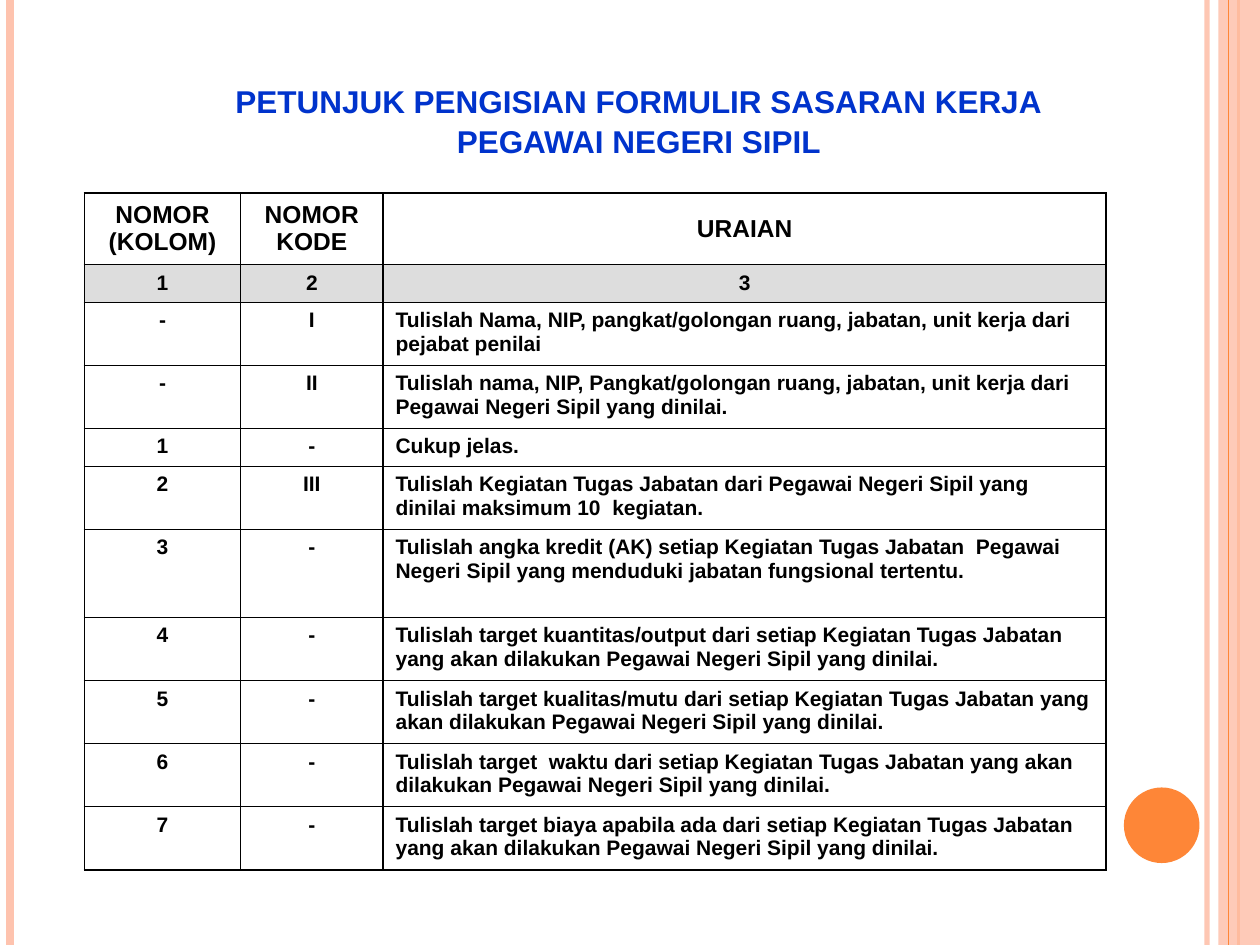
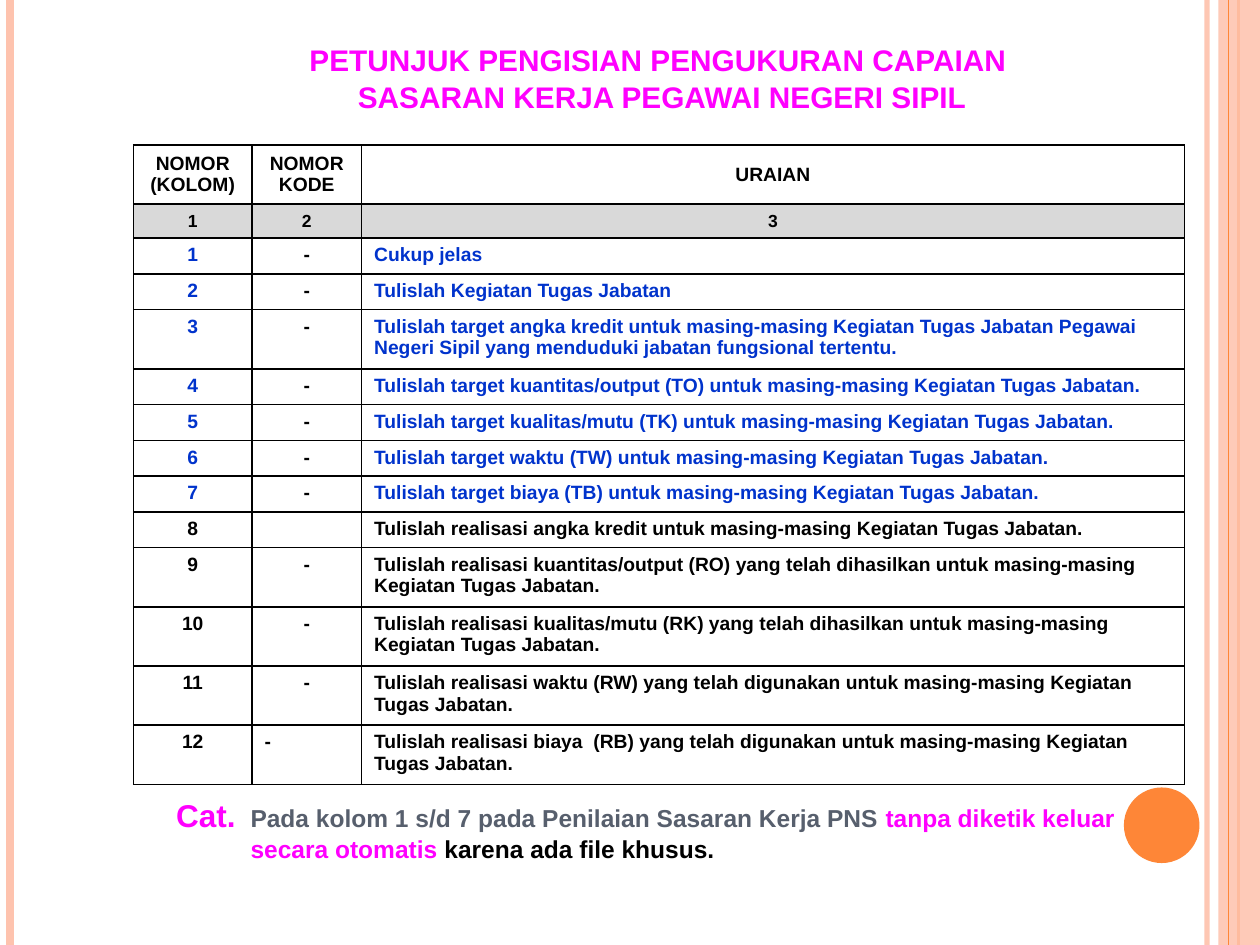
from lxml import etree
from pptx import Presentation
from pptx.dml.color import RGBColor
from pptx.enum import shapes, text
from pptx.oxml.ns import qn
from pptx.util import Inches, Pt

FONT = "Arial"
BLACK = RGBColor(0x00, 0x00, 0x00)
BLUE = RGBColor(0x00, 0x33, 0xCC)
MAGENTA = RGBColor(0xFF, 0x00, 0xFF)
SLATE = RGBColor(0x57, 0x5F, 0x6D)
ORANGE = RGBColor(0xFE, 0x86, 0x37)
PEACH = RGBColor(0xFE, 0xC3, 0xAE)
GREY_DD = RGBColor(0xDD, 0xDD, 0xDD)
GREY_D9 = RGBColor(0xD9, 0xD9, 0xD9)
CENTER, LEFT = text.PP_ALIGN.CENTER, text.PP_ALIGN.LEFT

# Content: number, code, description and number of text lines in each row
HEADER = [("NOMOR (KOLOM)", "NOMOR KODE", "URAIAN"), ("1", "2", "3")]
FORM_ROWS = [
    ("-", "I", "Tulislah Nama, NIP, pangkat/golongan ruang, jabatan, unit kerja dari pejabat penilai", 2),
    ("-", "II", "Tulislah nama, NIP, Pangkat/golongan ruang, jabatan, unit kerja dari Pegawai Negeri Sipil yang dinilai.", 2),
    ("1", "-", "Cukup jelas.", 1),
    ("2", "III", "Tulislah Kegiatan Tugas Jabatan dari Pegawai Negeri Sipil yang dinilai maksimum 10  kegiatan.", 2),
    ("3", "-", "Tulislah angka kredit (AK) setiap Kegiatan Tugas Jabatan  Pegawai Negeri Sipil yang menduduki jabatan fungsional tertentu.", 3),
    ("4", "-", "Tulislah target kuantitas/output dari setiap Kegiatan Tugas Jabatan yang akan dilakukan Pegawai Negeri Sipil yang dinilai.", 2),
    ("5", "-", "Tulislah target kualitas/mutu dari setiap Kegiatan Tugas Jabatan yang akan dilakukan Pegawai Negeri Sipil yang dinilai.", 2),
    ("6", "-", "Tulislah target  waktu dari setiap Kegiatan Tugas Jabatan yang akan dilakukan Pegawai Negeri Sipil yang dinilai.", 2),
    ("7", "-", "Tulislah target biaya apabila ada dari setiap Kegiatan Tugas Jabatan yang akan dilakukan Pegawai Negeri Sipil yang dinilai.", 2),
]
RESULT_ROWS = [
    ("1", "-", "Cukup jelas", 1),
    ("2", "-", "Tulislah Kegiatan Tugas Jabatan", 1),
    ("3", "-", "Tulislah target angka kredit untuk masing-masing Kegiatan Tugas Jabatan Pegawai Negeri Sipil yang menduduki jabatan fungsional tertentu.", 2),
    ("4", "-", "Tulislah target kuantitas/output (TO) untuk masing-masing Kegiatan Tugas Jabatan.", 1),
    ("5", "-", "Tulislah target kualitas/mutu (TK) untuk masing-masing Kegiatan Tugas Jabatan.", 1),
    ("6", "-", "Tulislah target waktu (TW) untuk masing-masing Kegiatan Tugas Jabatan.", 1),
    ("7", "-", "Tulislah target biaya (TB) untuk masing-masing Kegiatan Tugas Jabatan.", 1),
    ("8", "", "Tulislah realisasi angka kredit untuk masing-masing Kegiatan Tugas Jabatan.", 1),
    ("9", "-", "Tulislah realisasi kuantitas/output (RO) yang telah dihasilkan untuk masing-masing Kegiatan Tugas Jabatan.", 2),
    ("10", "-", "Tulislah realisasi kualitas/mutu (RK) yang telah dihasilkan untuk masing-masing Kegiatan Tugas Jabatan.", 2),
    ("11", "-", "Tulislah realisasi waktu (RW) yang telah digunakan untuk masing-masing Kegiatan Tugas Jabatan.", 2),
    ("12", "-", "Tulislah realisasi biaya  (RB) yang telah digunakan untuk masing-masing Kegiatan Tugas Jabatan.", 2),
]
NOTE = [
    ("Cat.\t", 18, MAGENTA),
    ("Pada kolom 1 s/d 7 pada Penilaian Sasaran Kerja PNS ", 14, SLATE),
    ("tanpa diketik keluar secara otomatis ", 14, MAGENTA),
    ("karena ada file khusus.", 14, BLACK),
]
PAGES = [
    dict(
        title=["PETUNJUK PENGISIAN FORMULIR SASARAN KERJA", "PEGAWAI NEGERI SIPIL"],
        title_at=(1.77, 0.6, 6.6, 0.65), title_size=18, title_color=BLUE, title_wrap=False,
        rows=FORM_ROWS, table_at=(0.67, 1.53), widths=(1.24, 1.13, 5.74),
        header_heights=(0.57, 0.3), line_heights={1: 0.3, 2: 0.5, 3: 0.7},
        sizes=(14, 12, 12), band=GREY_DD, blue_rows=0, left_codes=(), note=None,
    ),
    dict(
        title=["PETUNJUK PENGISIAN PENGUKURAN CAPAIAN ", "SASARAN KERJA PEGAWAI NEGERI SIPIL"],
        title_at=(1.65, 0.28, 7.21, 0.62), title_size=17, title_color=MAGENTA, title_wrap=True,
        rows=RESULT_ROWS, table_at=(1.06, 1.15), widths=(0.94, 0.87, 6.53),
        header_heights=(0.47, 0.27), line_heights={1: 0.28, 2: 0.47},
        sizes=(11, 10, 11), band=GREY_D9, blue_rows=7, left_codes=("12",), note=NOTE,
    ),
]


def set_font(font, size, color):
    font.name, font.size, font.bold = FONT, Pt(size), True
    font.color.rgb = color


def set_alpha(part, percent):
    for color in part._element.spPr.iter(qn("a:srgbClr")):
        etree.SubElement(color, qn("a:alpha"), val=str(percent * 1000))


# Shared decoration
def add_rule(page, x, color, width):
    rule = page.shapes.add_connector(
        shapes.MSO_CONNECTOR.STRAIGHT, Inches(x), 0, Inches(x), Inches(7.5))
    rule.line.color.rgb, rule.line.width = color, Pt(width)
    etree.SubElement(rule._element.spPr, qn("a:effectLst"))
    return rule


def add_block(page, kind, place, color):
    block = page.shapes.add_shape(kind, *map(Inches, place))
    block.shadow.inherit = False
    block.fill.solid()
    block.fill.fore_color.rgb = color
    block.line.fill.background()
    return block


def add_decoration(page):
    set_alpha(add_rule(page, 9.58, PEACH, 3), 93)
    add_rule(page, 0.08, PEACH, 4.5)
    add_rule(page, 9.83, ORANGE, 1.5)
    set_alpha(add_block(page, shapes.MSO_SHAPE.RECTANGLE, (9.67, 0, 0.33, 7.5), PEACH), 87)
    add_rule(page, 9.75, ORANGE, 0.75)
    add_block(page, shapes.MSO_SHAPE.OVAL, (8.92, 6.25, 0.6, 0.6), ORANGE)


def add_title(page, content):
    box = page.shapes.add_textbox(*map(Inches, content["title_at"]))
    frame = box.text_frame
    frame.word_wrap = content["title_wrap"]
    frame.vertical_anchor = text.MSO_ANCHOR.MIDDLE
    frame.margin_bottom = 0
    frame.text = "\n".join(content["title"])
    for para in frame.paragraphs:
        para.alignment = CENTER
        para.line_spacing = 1.05
        set_font(para.font, content["title_size"], content["title_color"])


# Table
def add_borders(cell):
    properties = cell._tc.get_or_add_tcPr()
    for side in ("lnL", "lnR", "lnT", "lnB"):
        line = etree.SubElement(properties, qn("a:" + side), w=str(Pt(1)))
        fill = etree.SubElement(line, qn("a:solidFill"))
        etree.SubElement(fill, qn("a:srgbClr"), val=str(BLACK))


def fill_cell(cell, words, size, color, align, middle, band):
    add_borders(cell)
    if band is None:
        cell.fill.background()
    else:
        cell.fill.solid()
        cell.fill.fore_color.rgb = band
    if middle:
        cell.vertical_anchor = text.MSO_ANCHOR.MIDDLE
    para = cell.text_frame.paragraphs[0]
    para.alignment = align
    set_font(para.font, size, color)
    if words:
        para.add_run().text = words
    else:
        etree.SubElement(para._p, qn("a:endParaRPr"), sz=str(size * 100))


def add_guide_table(page, content):
    rows = HEADER + [row[:3] for row in content["rows"]]
    heights = list(content["header_heights"])
    heights += [content["line_heights"][row[3]] for row in content["rows"]]
    widths = content["widths"]
    place = (*content["table_at"], sum(widths), sum(heights))
    table = page.shapes.add_table(len(rows), len(widths), *map(Inches, place)).table
    table.first_row = table.horz_banding = False
    for column, width in zip(table.columns, widths):
        column.width = Inches(width)
    for r, (row, height) in enumerate(zip(rows, heights)):
        table.rows[r].height = Inches(height)
        in_header = r < len(HEADER)
        is_blue = not in_header and r - len(HEADER) < content["blue_rows"]
        for c, words in enumerate(row):
            is_left = not in_header and (
                c == 2 or c == 1 and row[0] in content["left_codes"])
            fill_cell(
                table.cell(r, c), words, content["sizes"][min(r, 2)],
                BLUE if is_blue and c != 1 else BLACK,
                LEFT if is_left else CENTER, in_header,
                content["band"] if r == 1 else None)


# Note with a hanging indent
def add_note(page, spans):
    box = page.shapes.add_textbox(*map(Inches, (1.3, 6.27, 8.03, 0.63)))
    box.text_frame.word_wrap = True
    para = box.text_frame.paragraphs[0]
    properties = para._p.get_or_add_pPr()
    properties.set("marL", str(Inches(0.59)))
    properties.set("indent", str(-Inches(0.59)))
    for words, size, color in spans:
        span = para.add_run()
        span.text = words
        set_font(span.font, size, color)


def main():
    deck = Presentation()
    deck.slide_width, deck.slide_height = Inches(10), Inches(7.5)
    for content in PAGES:
        page = deck.slides.add_slide(deck.slide_layouts[6])
        add_decoration(page)
        add_title(page, content)
        add_guide_table(page, content)
        if content["note"]:
            add_note(page, content["note"])
    deck.save("out.pptx")


if __name__ == "__main__":
    main()
